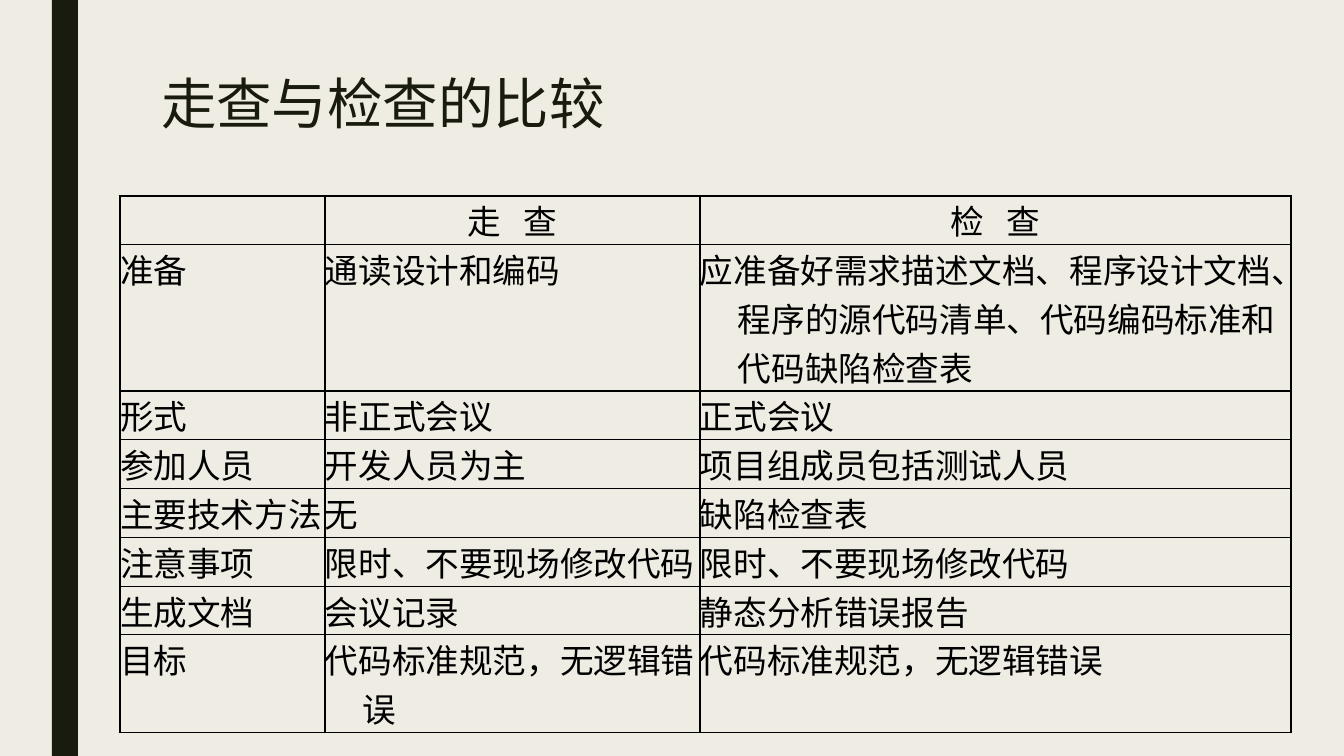
from lxml import etree
from pptx import Presentation
from pptx import util as u
from pptx.dml.color import RGBColor
from pptx.enum import shapes, text
from pptx.oxml.ns import qn

TITLE = "走查与检查的比较"
ROWS = [
    ("", "走   查", "检   查"),
    ("准备", "通读设计和编码", "应准备好需求描述文档、程序设计文档、程序的源代码清单、代码编码标准和代码缺陷检查表"),
    ("形式", "非正式会议", "正式会议"),
    ("参加人员", "开发人员为主", "项目组成员包括测试人员"),
    ("主要技术方法", "无", "缺陷检查表"),
    ("注意事项", "限时、不要现场修改代码", "限时、不要现场修改代码"),
    ("生成文档", "会议记录", "静态分析错误报告"),
    ("目标", "代码标准规范，无逻辑错误", "代码标准规范，无逻辑错误"),
]
COLORS = {"background": "EFEDE3", "dark": "191B0E", "table": "000000"}

SLIDE_SIZE = (1344, 756)
SIDEBAR_BOX = (52, 0, 26, 756)
TITLE_BOX = (151, 76, 1058, 62)
TABLE_BOX = (120, 196, 1171, 444)
COLUMN_WIDTHS = (205, 375, 591)
ROW_HEIGHTS = (34, 56, 34, 34, 34, 36, 34, 67)
HANGING_INDENT = 38

TITLE_FRAME = {
    "word_wrap": True,
    "auto_size": text.MSO_AUTO_SIZE.NONE,
    "vertical_anchor": text.MSO_ANCHOR.MIDDLE,
}
TITLE_PARAGRAPH = {"alignment": text.PP_ALIGN.LEFT, "line_spacing": 0.89}
TITLE_FONT = {"name": "Cabin", "size": u.Pt(39.6), "bold": False}
CELL_FORMAT = {
    "margin_left": 0,
    "margin_right": 0,
    "margin_top": 0,
    "margin_bottom": 0,
    "vertical_anchor": text.MSO_ANCHOR.TOP,
}
CELL_FONT = {"name": "Times New Roman", "size": u.Pt(24), "bold": False}
TABLE_FORMAT = {"first_row": False, "horz_banding": False}


def px(length):
    return u.Emu(round(length * 914400 / 100.8))


def color(name):
    return RGBColor.from_string(COLORS[name])


def apply(target, values):
    for name, value in values.items():
        setattr(target, name, value)


def place(shape, box):
    apply(shape, dict(zip(("left", "top", "width", "height"), map(px, box))))


def add_borders(cell):
    properties = cell._tc.get_or_add_tcPr()
    for side in ("lnL", "lnR", "lnT", "lnB"):
        line = etree.SubElement(properties, qn(f"a:{side}"), w=str(u.Pt(1)))
        fill = etree.SubElement(line, qn("a:solidFill"))
        etree.SubElement(fill, qn("a:srgbClr"), val=COLORS["table"])


def add_sidebar(slide):
    sidebar = slide.shapes.add_shape(shapes.MSO_SHAPE.RECTANGLE, *map(px, SIDEBAR_BOX))
    sidebar.shadow.inherit = False
    sidebar.fill.solid()
    sidebar.fill.fore_color.rgb = color("dark")
    sidebar.line.fill.background()


def format_title(title):
    place(title, TITLE_BOX)
    title.text = TITLE
    apply(title.text_frame, TITLE_FRAME)
    paragraph = title.text_frame.paragraphs[0]
    apply(paragraph, TITLE_PARAGRAPH)
    font = paragraph.runs[0].font
    apply(font, TITLE_FONT)
    font.color.rgb = color("dark")


def fill_cell(cell, content, alignment):
    apply(cell, CELL_FORMAT)
    add_borders(cell)
    cell.fill.background()
    if not content:
        return
    paragraph = cell.text_frame.paragraphs[0]
    paragraph.alignment = alignment
    properties = paragraph._p.get_or_add_pPr()
    properties.set("marL", str(px(HANGING_INDENT)))
    properties.set("indent", str(px(-HANGING_INDENT)))
    run = paragraph.add_run()
    run.text = content
    apply(run.font, CELL_FONT)
    run.font.color.rgb = color("table")


def add_comparison(slide):
    frame = slide.shapes.add_table(len(ROWS), len(COLUMN_WIDTHS), *map(px, TABLE_BOX))
    table = frame.table
    apply(table, TABLE_FORMAT)
    for column, width in zip(table.columns, COLUMN_WIDTHS):
        column.width = px(width)
    for row, height in zip(table.rows, ROW_HEIGHTS):
        row.height = px(height)
    for row_index, contents in enumerate(ROWS):
        alignment = text.PP_ALIGN.LEFT if row_index else text.PP_ALIGN.CENTER
        for column_index, content in enumerate(contents):
            fill_cell(table.cell(row_index, column_index), content, alignment)


def main():
    presentation = Presentation()
    presentation.slide_width, presentation.slide_height = map(px, SLIDE_SIZE)
    slide = presentation.slides.add_slide(presentation.slide_layouts[5])
    slide.background.fill.solid()
    slide.background.fill.fore_color.rgb = color("background")
    add_sidebar(slide)
    format_title(slide.shapes.title)
    add_comparison(slide)
    presentation.save("out.pptx")


if __name__ == "__main__":
    main()
